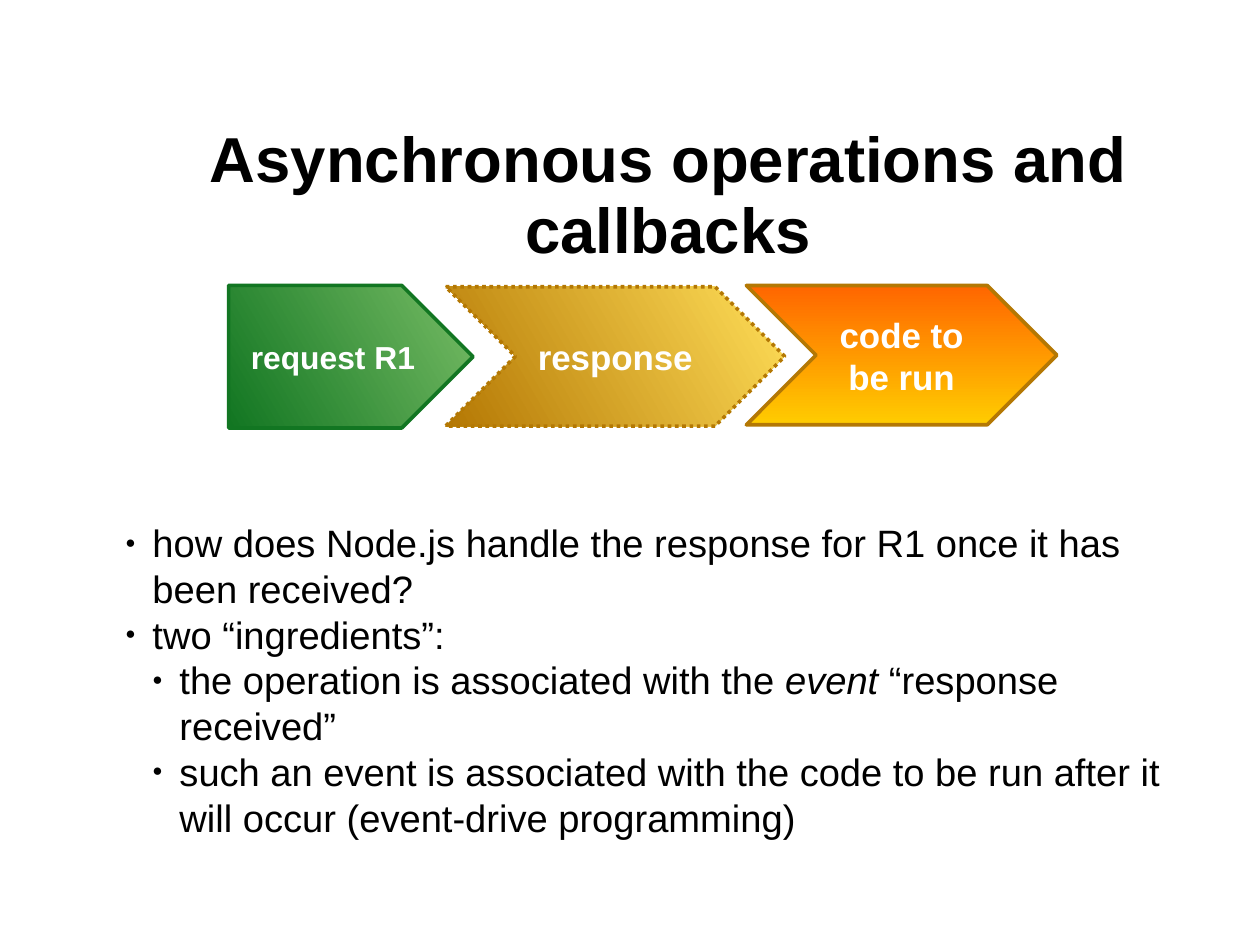
"""Build the slide on asynchronous operations and callbacks."""
from dataclasses import dataclass

import lxml.etree
import pptx
import pptx.dml.color
import pptx.enum.dml
import pptx.enum.shapes
import pptx.enum.text
import pptx.oxml.ns
import pptx.util

Pt = pptx.util.Pt
RGBColor = pptx.dml.color.RGBColor
PRESET = pptx.enum.shapes.MSO_SHAPE
DASH = pptx.enum.dml.MSO_LINE
ANCHOR = pptx.enum.text.MSO_ANCHOR
ALIGN = pptx.enum.text.PP_ALIGN
FIT = pptx.enum.text.MSO_AUTO_SIZE

BLACK = RGBColor(0x00, 0x00, 0x00)
WHITE = RGBColor(0xFF, 0xFF, 0xFF)
LIGHT_GREEN = RGBColor(0x77, 0xBC, 0x65)
DARK_GREEN = RGBColor(0x12, 0x76, 0x22)
PALE_GOLD = RGBColor(0xFF, 0xDE, 0x59)
DARK_GOLD = RGBColor(0xB4, 0x78, 0x04)
YELLOW = RGBColor(0xFF, 0xCC, 0x00)
ORANGE = RGBColor(0xFF, 0x66, 0x00)

FONT = "Arial"
INDENT = 17


@dataclass(frozen=True)
class Step:
    label: str
    preset: PRESET
    left: float
    top: float
    width: float
    height: float
    start: RGBColor
    end: RGBColor
    angle: float
    outline: RGBColor
    size: float
    dash: DASH = DASH.SOLID


@dataclass(frozen=True)
class Point:
    level: int
    before: str
    emphasis: str = ""
    after: str = ""


STEPS = (
    Step("request R1", PRESET.PENTAGON, 144, 179.8, 154, 89.8,
         LIGHT_GREEN, DARK_GREEN, 210, DARK_GREEN, 20),
    Step("response", PRESET.CHEVRON, 280.8, 180.6, 213.6, 87.8,
         PALE_GOLD, DARK_GOLD, 210, DARK_GOLD, 22, DASH.ROUND_DOT),
    Step("code to be run", PRESET.CHEVRON, 470.2, 179.8, 195.6, 87.8,
         YELLOW, ORANGE, 90, DARK_GOLD, 22),
)

POINTS = (
    Point(0, "how does Node.js handle the response for R1 once it has been received?"),
    Point(0, "two “ingredients”:"),
    Point(1, "the operation is associated with the ", "event", " “response received”"),
    Point(1, "such an event is associated with the code to be run after it will occur "
             "(event-drive programming)"),
)


def set_font(paragraph, size: float, color: RGBColor, bold: bool = False) -> None:
    font = paragraph.font
    font.name = FONT
    font.size = Pt(size)
    font.bold = bold
    font.color.rgb = color


def set_margins(frame, horizontal: float, top: float, bottom: float) -> None:
    frame.margin_left = frame.margin_right = Pt(horizontal)
    frame.margin_top = Pt(top)
    frame.margin_bottom = Pt(bottom)
    frame.word_wrap = True


def add_bullet(paragraph, level: int) -> None:
    qn = pptx.oxml.ns.qn
    properties = paragraph._p.get_or_add_pPr()
    properties.set("marL", str(Pt(INDENT * (level + 1))))
    properties.set("indent", str(Pt(-INDENT)))
    color = lxml.etree.SubElement(properties, qn("a:buClr"))
    lxml.etree.SubElement(color, qn("a:srgbClr"), val=str(BLACK))
    lxml.etree.SubElement(properties, qn("a:buSzPct"), val="45000")
    lxml.etree.SubElement(properties, qn("a:buFont"), typeface=FONT)
    lxml.etree.SubElement(properties, qn("a:buChar"), char="●")


def write_title(slide) -> None:
    title = slide.shapes.title
    title.left, title.top = Pt(90.7), Pt(100.1)
    title.width, title.height = Pt(660.2), Pt(44.6)
    frame = title.text_frame
    set_margins(frame, 0, 2.9, 0)
    frame.auto_size = FIT.NONE
    frame.vertical_anchor = ANCHOR.MIDDLE
    heading = frame.paragraphs[0]
    heading.text = "Asynchronous operations and callbacks"
    heading.alignment = ALIGN.CENTER
    heading.line_spacing = 0.93
    set_font(heading, 40, BLACK, bold=True)


def write_points(slide) -> None:
    body = slide.shapes.add_textbox(Pt(72), Pt(323.8), Pt(698.4), Pt(221))
    frame = body.text_frame
    set_margins(frame, 7.2, 3.6, 3.6)
    for index, point in enumerate(POINTS):
        paragraph = frame.add_paragraph() if index else frame.paragraphs[0]
        paragraph.level = point.level
        add_bullet(paragraph, point.level)
        set_font(paragraph, 24, BLACK)
        paragraph.add_run().text = point.before
        if point.emphasis:
            event = paragraph.add_run()
            event.text = point.emphasis
            event.font.italic = True
            paragraph.add_run().text = point.after


def draw_step(slide, step: Step) -> None:
    arrow = slide.shapes.add_shape(
        step.preset, Pt(step.left), Pt(step.top), Pt(step.width), Pt(step.height))
    arrow.shadow.inherit = False
    arrow.adjustments[0] = 0.5
    arrow.fill.gradient()
    arrow.fill.gradient_angle = step.angle
    for stop, position, color in zip(
            arrow.fill.gradient_stops, (0, 1), (step.start, step.end)):
        stop.position = position
        stop.color.rgb = color
    arrow.line.color.rgb = step.outline
    arrow.line.width = Pt(2.3)
    arrow.line.dash_style = step.dash
    frame = arrow.text_frame
    set_margins(frame, 7.9, 4.3, 4.3)
    frame.vertical_anchor = ANCHOR.MIDDLE
    label = frame.paragraphs[0]
    label.text = step.label
    label.alignment = ALIGN.CENTER
    set_font(label, step.size, WHITE, bold=True)


def main() -> None:
    deck = pptx.Presentation()
    deck.slide_width, deck.slide_height = Pt(793.75), Pt(595.25)
    slide = deck.slides.add_slide(deck.slide_layouts[5])
    write_title(slide)
    write_points(slide)
    for step in STEPS:
        draw_step(slide, step)
    deck.save("out.pptx")


if __name__ == "__main__":
    main()
